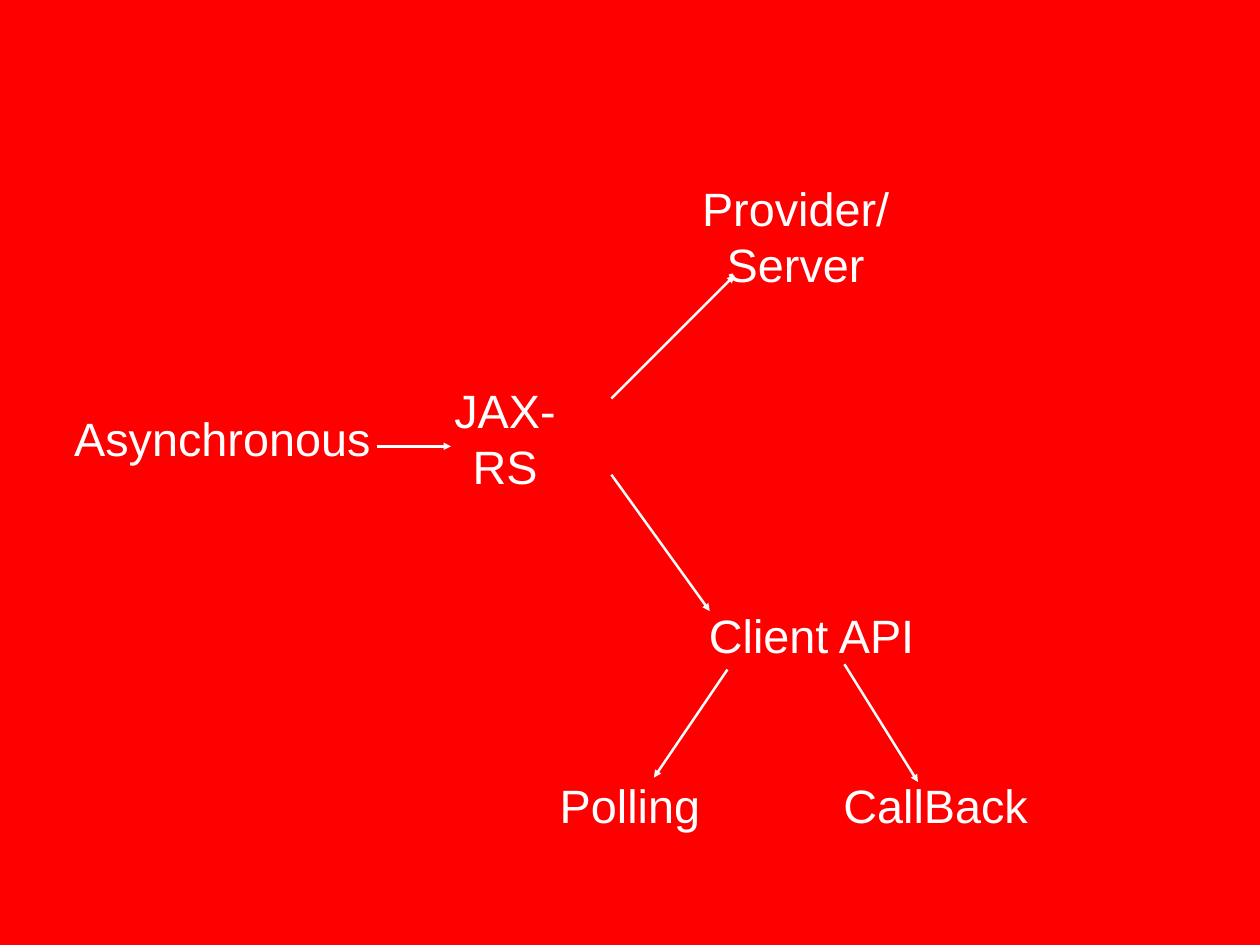
from dataclasses import dataclass

from lxml.etree import SubElement
from pptx import Presentation
from pptx.dml.color import RGBColor
from pptx.enum.shapes import MSO_CONNECTOR
from pptx.enum.text import MSO_ANCHOR, PP_ALIGN
from pptx.oxml.ns import qn
from pptx.util import Inches, Pt

# Content: text, centre x, centre y, width, number of lines
LABELS = [
    ("Asynchronous", 2.51, 4.94, 3.49, 1),
    ("JAX-RS", 5.70, 4.94, 1.40, 2),
    ("Provider/Server", 8.98, 2.66, 2.40, 2),
    ("Client API", 9.16, 7.17, 2.44, 1),
    ("Polling", 7.11, 9.09, 1.71, 1),
    ("CallBack", 10.56, 9.09, 2.24, 1),
]

# Arrows: start point, end point
ARROWS = [
    ((4.25, 5.04), (5.09, 5.04)),  # Asynchronous to JAX-RS
    ((6.90, 4.50), (8.29, 3.11)),  # JAX-RS to Provider/Server
    ((6.90, 5.36), (8.01, 6.90)),  # JAX-RS to Client API
    ((8.21, 7.56), (7.38, 8.78)),  # Client API to Polling
    ((9.53, 7.50), (10.36, 8.83)),  # Client API to CallBack
]


@dataclass(frozen=True)
class Theme:
    background: RGBColor = RGBColor(0xFF, 0x00, 0x00)
    foreground: RGBColor = RGBColor(0xFF, 0xFF, 0xFF)
    font: str = "Arial"
    text_size: int = 38
    line_width: int = 2
    line_height: float = 0.63
    inset: float = 0.06


THEME = Theme()


def add_label(slide, text, center_x, center_y, width, lines):
    height = lines * THEME.line_height + 2 * THEME.inset
    shape = slide.shapes.add_textbox(
        Inches(center_x - width / 2), Inches(center_y - height / 2),
        Inches(width), Inches(height))
    frame = shape.text_frame
    frame.word_wrap = lines > 1
    frame.vertical_anchor = MSO_ANCHOR.MIDDLE
    frame.margin_left = frame.margin_right = Inches(THEME.inset)
    frame.margin_top = frame.margin_bottom = Inches(THEME.inset)
    paragraph = frame.paragraphs[0]
    paragraph.text = text
    paragraph.alignment = PP_ALIGN.CENTER
    paragraph.font.name = THEME.font
    paragraph.font.size = Pt(THEME.text_size)
    paragraph.font.color.rgb = THEME.foreground


def add_arrow(slide, start, end):
    connector = slide.shapes.add_connector(
        MSO_CONNECTOR.STRAIGHT, *map(Inches, start + end))
    connector.line.color.rgb = THEME.foreground
    connector.line.width = Pt(THEME.line_width)
    SubElement(connector.line._get_or_add_ln(), qn("a:tailEnd"), type="triangle")
    SubElement(connector._element.spPr, qn("a:effectLst"))


def main():
    presentation = Presentation()
    presentation.slide_width = Inches(14.22)
    presentation.slide_height = Inches(10.67)
    slide = presentation.slides.add_slide(presentation.slide_layouts[6])

    # Background
    fill = slide.background.fill
    fill.solid()
    fill.fore_color.rgb = THEME.background

    # Diagram
    for label in LABELS:
        add_label(slide, *label)
    for start, end in ARROWS:
        add_arrow(slide, start, end)

    presentation.save("out.pptx")


if __name__ == "__main__":
    main()
